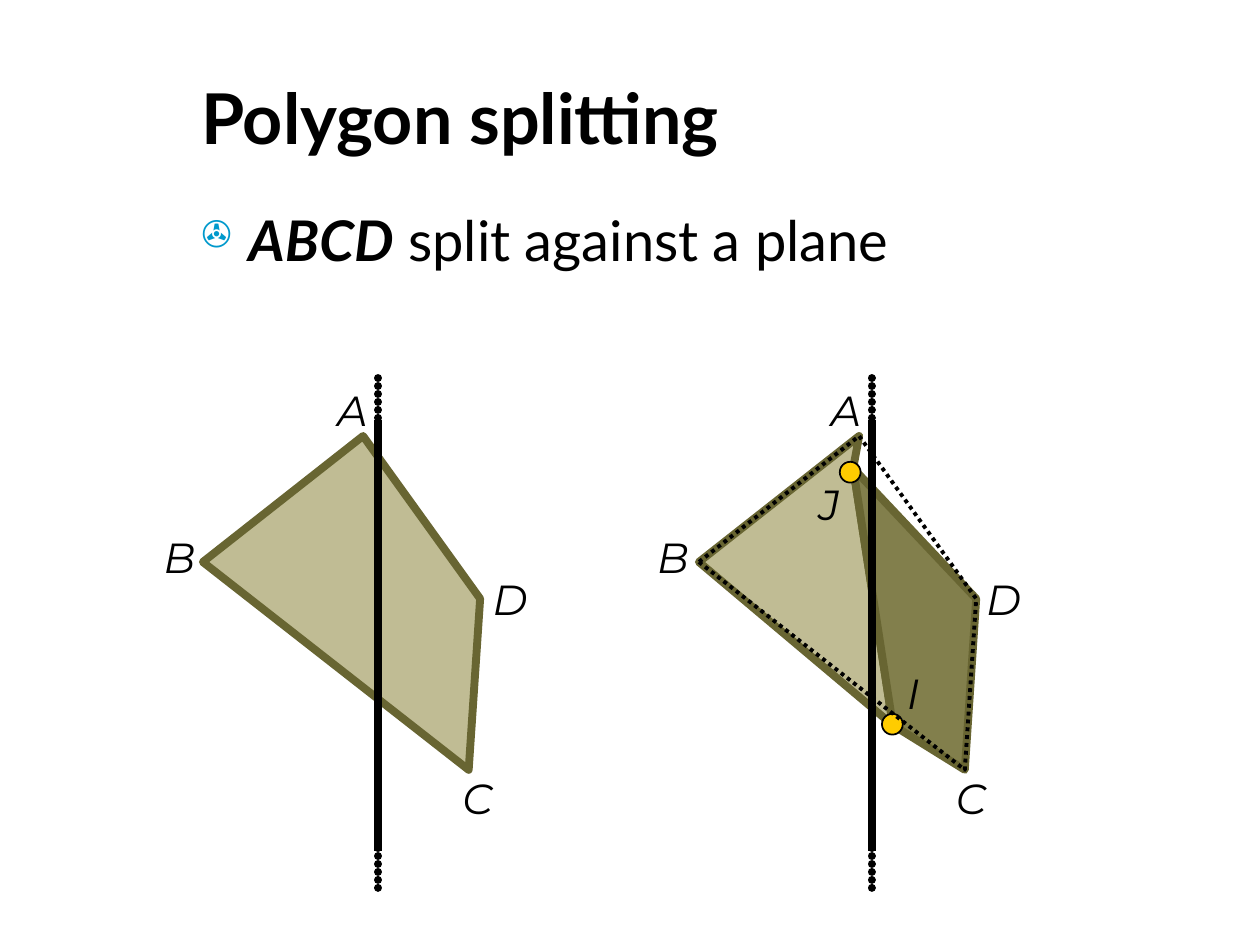
"""Builds a slide that shows a polygon split against a plane."""
from lxml.etree import SubElement
from pptx import Presentation
from pptx.dml.color import RGBColor as Rgb
from pptx.enum.dml import MSO_LINE as Dash
from pptx.enum.shapes import MSO_CONNECTOR as Link, MSO_SHAPE as Kind
from pptx.enum.text import MSO_ANCHOR as Anchor, MSO_AUTO_SIZE as Fit
from pptx.oxml.ns import qn
from pptx.util import Cm, Pt

theme = {
    "black": Rgb.from_string("000000"), "edge": Rgb.from_string("686532"),
    "light": Rgb.from_string("C0BC94"), "dark": Rgb.from_string("827F4C"),
    "dot": Rgb.from_string("FFCC00"), "bullet": "0099CC",
    "font": "Lato", "mark": "Montserrat",
    "title": Pt(40), "body": Pt(32), "label": Pt(24),
    "thick": Pt(4.5), "dash": Pt(2.25), "thin": Pt(1),
}

deck = Presentation()
deck.slide_width, deck.slide_height = Cm(25.4), Cm(19.05)
slide = deck.slides.add_slide(deck.slide_layouts[6])
shapes = slide.shapes


def write(box, runs, frame):
    """Adds a text box with formatted runs."""
    area = shapes.add_textbox(*map(Cm, box)).text_frame
    for name, value in frame.items():
        setattr(area, name, value)
    para = area.paragraphs[0]
    for words, look in runs:
        run = para.add_run()
        run.text = words
        run.font.color.rgb = theme["black"]
        for name, value in look.items():
            setattr(run.font, name, value)
    return para


def trace(points, fill, color, width):
    """Draws a closed polygon with round corners."""
    spots = [(Cm(x), Cm(y)) for x, y in points]
    pen = shapes.build_freeform(*spots[0], scale=1.0)
    pen.add_line_segments(spots[1:], close=True)
    form = pen.convert_to_shape()
    form.shadow.inherit = False
    if fill:
        form.fill.solid()
        form.fill.fore_color.rgb = theme[fill]
    else:
        form.fill.background()
    form.line.color.rgb = theme[color]
    form.line.width = theme[width]
    if not fill:
        form.line.dash_style = Dash.ROUND_DOT
    SubElement(form.line._get_or_add_ln(), qn("a:round"))


plain = {"name": theme["font"], "size": theme["body"]}
write((3.81, 1.07, 20.96, 2.54),
      [("Polygon splitting", {**plain, "size": theme["title"], "bold": True})],
      {"word_wrap": True, "vertical_anchor": Anchor.MIDDLE})
para = write((3.81, 4.01, 20.96, 2.16),
             [("ABCD", {**plain, "bold": True, "italic": True}),
              (" split against a plane", plain)], {"word_wrap": True})
para.space_before = Pt(8)
props = para._p.get_or_add_pPr()
props.set("marL", str(Cm(0.95)))
props.set("indent", str(Cm(-0.95)))
tint = SubElement(props, qn("a:buClr"))
SubElement(tint, qn("a:srgbClr"), val=theme["bullet"])
SubElement(props, qn("a:buSzPct"), val="65000")
SubElement(props, qn("a:buChar"), char="\u2707")

quad = [(4.09, 11.33), (9.45, 15.52), (9.68, 12.07), (7.32, 8.79)]
moved = [(x + 10, y) for x, y in quad]
b, c, d, a = moved
i, j = (18, 14.62), (17.2, 9.44)
for points, fill in (([b, i, j, a], "light"), ([c, i, j, d], "dark"),
                     (quad, "light")):
    trace(points, fill, "edge", "thick")

step = 9.95
marks = [("A", 6.55, 7.62, 0.99), ("B", 3.05, 10.59, 1.02),
         ("D", 9.68, 11.43, 1.07), ("C", 9.07, 15.44, 0.99)]
labels = [(word, x + shift, y, w) for shift in (0, step)
          for word, x, y, w in marks]
labels += [("J", 16.26, 9.53, 0.74), ("I", 18.03, 13.34, 0.79)]
slant = {"name": theme["mark"], "size": theme["label"], "italic": True}
for word, x, y, w in labels:
    write((x, y, w, 1.27), [(word, slant)],
          {"word_wrap": False, "auto_size": Fit.SHAPE_TO_FIT_TEXT})

for x in (7.62, 7.62 + step):
    for top, end, dotted in ((8.47, 17.15, False), (7.62, 17.99, True)):
        plane = shapes.add_connector(Link.STRAIGHT, Cm(x), Cm(top),
                                     Cm(x), Cm(end))
        plane.line.color.rgb = theme["black"]
        plane.line.width = theme["thick"]
        if dotted:
            stroke = plane.line._get_or_add_ln()
            stroke.set("cap", "rnd")
            gaps = SubElement(stroke, qn("a:custDash"))
            SubElement(gaps, qn("a:ds"), d="1000", sp="100000")
        SubElement(plane._element.spPr, qn("a:effectLst"))

for x, y in ((16.93, 9.31), (17.78, 14.39)):
    dot = shapes.add_shape(Kind.OVAL, Cm(x), Cm(y), Cm(0.42), Cm(0.42))
    dot.shadow.inherit = False
    dot.fill.solid()
    dot.fill.fore_color.rgb = theme["dot"]
    dot.line.color.rgb = theme["black"]
    dot.line.width = theme["thin"]

trace(moved, None, "black", "dash")
deck.save("out.pptx")
